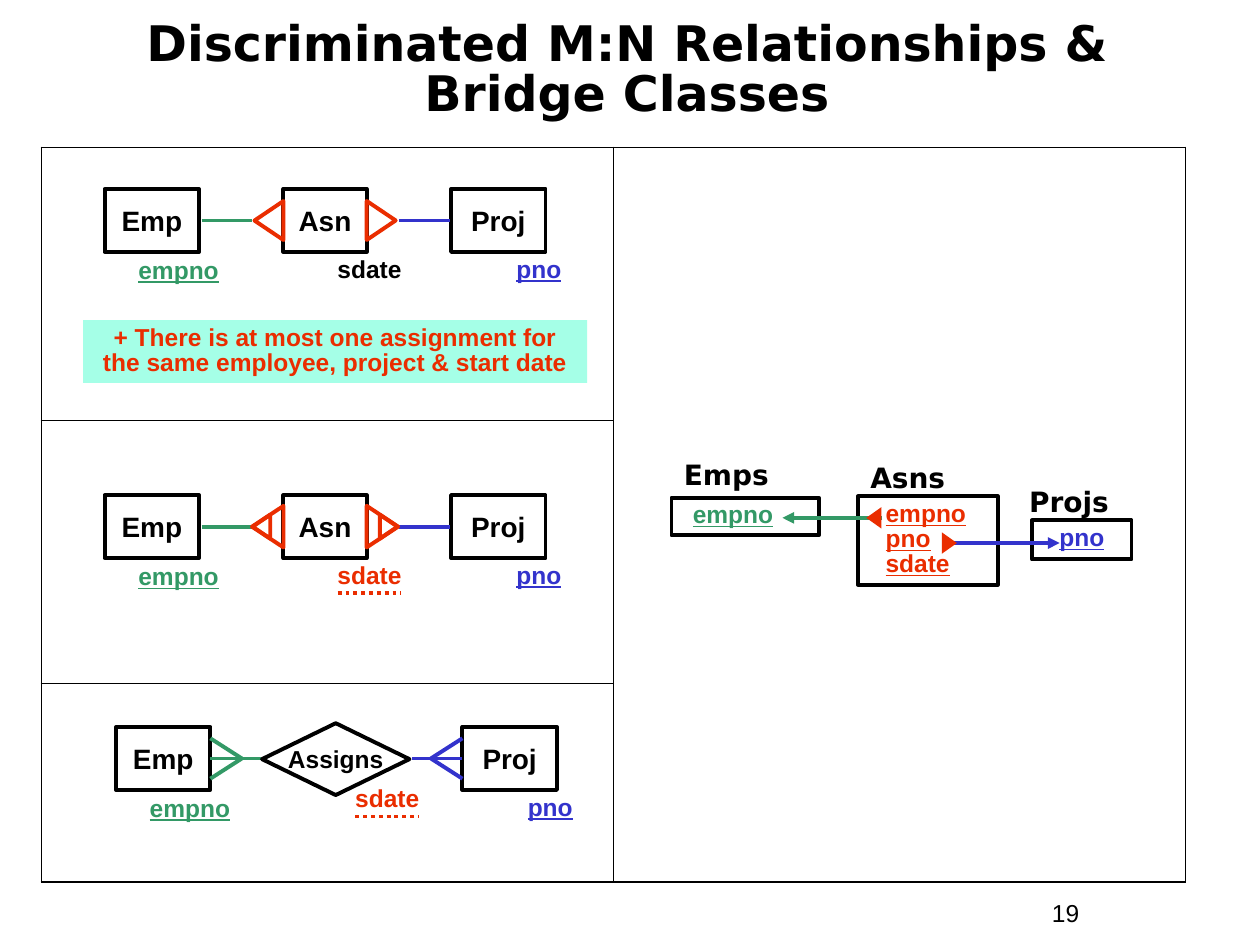
import dataclasses

import pptx
import pptx.dml.color
import pptx.enum.dml
import pptx.enum.shapes
import pptx.enum.text
import pptx.oxml
import pptx.oxml.ns
import pptx.util

Inches = pptx.util.Inches
SHAPE = pptx.enum.shapes.MSO_SHAPE
ALIGN = pptx.enum.text.PP_ALIGN
ANCHOR = pptx.enum.text.MSO_ANCHOR
FIT = pptx.enum.text.MSO_AUTO_SIZE


@dataclasses.dataclass(frozen=True)
class Theme:
    black: str = "000000"
    red: str = "EA2D00"
    green: str = "339966"
    blue: str = "3333CC"
    mint: str = "A5FFE7"
    sans: str = "Arial"
    head: str = "DejaVu Sans"
    title: int = 28
    name: int = 16
    key: int = 14
    line: float = 2.25
    edge: float = 1.08
    hair: float = 0.45


T = Theme()


def color(code):
    return pptx.dml.color.RGBColor.from_string(code)


def apply(item, form):
    for name, value in form.items():
        setattr(item, name, value)


def write(frame, lines, size, ink, face=T.sans, under=False, bold=True,
          align=ALIGN.LEFT, space=1.0, indent=0, **form):
    """Fill a text frame, one paragraph a line."""
    apply(frame, {"word_wrap": True, "vertical_anchor": ANCHOR.TOP,
                  "auto_size": FIT.NONE, **form})
    for i, line in enumerate(lines):
        para = frame.paragraphs[0] if i == 0 else frame.add_paragraph()
        para.text = line
        apply(para, {"alignment": align, "line_spacing": space})
        if indent:
            prop = para._p.get_or_add_pPr()
            prop.set("marL", str(Inches(indent)))
            prop.set("indent", "0")
        for run in para.runs:
            apply(run.font, {"size": pptx.util.Pt(size), "bold": bold,
                             "name": face, "underline": under})
            run.font.color.rgb = color(ink)


def shape(slide, kind, at, fill=None, line=None, turn=0):
    item = slide.shapes.add_shape(kind, *map(Inches, at))
    item.shadow.inherit = False
    item.rotation = turn
    if fill:
        item.fill.solid()
        item.fill.fore_color.rgb = color(fill)
    else:
        item.fill.background()
    if line:
        item.line.color.rgb = color(line)
        item.line.width = pptx.util.Pt(T.line)
    else:
        item.line.fill.background()
    return item


def label(slide, at, text, ink, size=T.key, space=0.9, **form):
    box = slide.shapes.add_textbox(*map(Inches, at))
    write(box.text_frame, [text], size, ink, space=space,
          auto_size=FIT.SHAPE_TO_FIT_TEXT, **form)


def node(slide, at, text, kind=SHAPE.RECTANGLE, size=T.name):
    item = shape(slide, kind, at, line=T.black)
    write(item.text_frame, [text], size, T.black, align=ALIGN.CENTER,
          vertical_anchor=ANCHOR.MIDDLE, word_wrap=False)


def link(slide, start, end, ink, arrow=False, dots=False):
    item = slide.shapes.add_connector(
        pptx.enum.shapes.MSO_CONNECTOR.STRAIGHT, *map(Inches, start + end))
    item.line.color.rgb = color(ink)
    item.line.width = pptx.util.Pt(T.line)
    if dots:
        item.line.dash_style = pptx.enum.dml.MSO_LINE.ROUND_DOT
    if arrow:
        item.line._get_or_add_ln().append(pptx.oxml.parse_xml(
            f'<a:tailEnd {pptx.oxml.ns.nsdecls("a")} type="triangle"/>'))
    item._element.spPr.append(pptx.oxml.parse_xml(
        f'<a:effectLst {pptx.oxml.ns.nsdecls("a")}/>'))


def wedge(slide, at, right, **form):
    """Triangle that points right or left."""
    shape(slide, SHAPE.ISOSCELES_TRIANGLE, at, turn=90 if right else 270, **form)


def ends(slide, left, top):
    """The two outer classes and their keys."""
    node(slide, (left, top, 0.75, 0.5), "Emp")
    node(slide, (left + 2.75, top, 0.75, 0.5), "Proj")
    label(slide, (left + 0.17, top + 0.5, 1.17, 0.31), "empno", T.green, under=True)
    label(slide, (left + 3.17, top + 0.49, 0.75, 0.31), "pno", T.blue, under=True)


def date(slide, left, top, ink, dots):
    label(slide, (left, top, 0.75, 0.31), "sdate", ink)
    if dots:
        y = top + 0.29
        link(slide, (left + 0.1, y), (left + 0.6, y), ink, dots=True)


def bridge(slide, top, wedges, ink, dots):
    """Emp and Proj joined through the class Asn."""
    mid = top + 0.25
    ends(slide, 0.83, top)
    node(slide, (2.25, top, 0.66, 0.5), "Asn")
    link(slide, (1.6, mid), (2, mid), T.green)
    link(slide, (3.57, mid), (3.17, mid), T.blue)
    for right, left, wide, high in wedges:
        wedge(slide, (left, mid - high / 2, wide, high), right, line=T.red)
    date(slide, 2.58, top + 0.49, ink, dots)


def forks(slide):
    """Emp and Proj joined through the diamond Assigns."""
    mid = 6.02
    ends(slide, 0.92, 5.77)
    for side, tip, far, ink in ((1.67, 1.92, 2.07, T.green),
                                (3.67, 3.42, 3.27, T.blue)):
        link(slide, (side, mid), (far, mid), ink)
        for rise in (-0.16, 0.16):
            link(slide, (tip, mid), (side, mid + rise), ink)
    node(slide, (2.08, 5.74, 1.17, 0.57), "Assigns", SHAPE.DIAMOND, T.key)
    date(slide, 2.72, 6.19, T.red, True)


def schema(slide):
    """Relations with their foreign keys."""
    for text, left, top, wide, box, keys, ink, indent in (
            ("Asns", 6.81, 3.61, 1.44, (6.81, 3.94, 1.11, 0.7),
             ("empno", "pno", "sdate"), T.red, 0.12),
            ("Projs", 8.07, 3.8, 1.15, (8.19, 4.13, 0.79, 0.31),
             ("pno",), T.blue, 0.12),
            ("Emps", 5.33, 3.58, 0.92, (5.33, 3.95, 1.17, 0.3),
             ("empno",), T.green, 0.07)):
        label(slide, (left, top, wide, 0.37), text, T.black, T.name, 1.0, face=T.head)
        item = shape(slide, SHAPE.RECTANGLE, box, line=T.black)
        write(item.text_frame, keys, T.key, ink, under=True, space=0.85,
              indent=indent, auto_size=FIT.SHAPE_TO_FIT_TEXT)
    link(slide, (7, 4.11), (6.21, 4.11), T.green, arrow=True)
    link(slide, (7.53, 4.31), (8.41, 4.31), T.blue, arrow=True)
    wedge(slide, (6.85, 4.05, 0.17, 0.12), False, fill=T.red)
    wedge(slide, (7.45, 4.25, 0.17, 0.12), True, fill=T.red)


def grid(slide):
    """Frame table: thick outside, thin inside."""
    rows = (2.17, 2.08, 1.58)
    table = slide.shapes.add_table(
        3, 2, *map(Inches, (0.33, 1.17, 9.08, 5.83))).table
    apply(table, {"first_row": False, "horz_banding": False})
    for row, high in zip(table.rows, rows):
        row.height = Inches(high)
    table.cell(0, 1).merge(table.cell(2, 1))
    for r in range(3):
        for c in range(2):
            cell = table.cell(r, c)
            cell.fill.background()
            outer = {"L": c == 0, "R": c == 1, "T": r == 0, "B": r == 2 or c == 1}
            for i, (side, thick) in enumerate(outer.items()):
                width = pptx.util.Pt(T.edge if thick else T.hair)
                cell._tc.get_or_add_tcPr().insert(i, pptx.oxml.parse_xml(
                    f'<a:ln{side} {pptx.oxml.ns.nsdecls("a")} w="{width}">'
                    f'<a:solidFill><a:srgbClr val="{T.black}"/></a:solidFill>'
                    f'</a:ln{side}>'))


def main():
    deck = pptx.Presentation()
    apply(deck, {"slide_width": Inches(10), "slide_height": Inches(7.5)})
    slide = deck.slides.add_slide(deck.slide_layouts[5])

    # Title and page number
    title = slide.shapes.title
    apply(title, {"left": Inches(0.29), "top": Inches(0.11),
                  "width": Inches(9.37), "height": Inches(0.92)})
    write(title.text_frame, ["Discriminated M:N Relationships &\vBridge Classes"],
          T.title, T.black, T.head, align=ALIGN.CENTER, space=0.85,
          vertical_anchor=ANCHOR.MIDDLE)
    label(slide, (8.25, 7.08, 0.92, 0.34), "19", T.black, space=1.0, bold=False)

    # Right: relations; left: three ways to draw the same link
    schema(slide)
    bridge(slide, 1.5, ((False, 1.98, 0.31, 0.23), (True, 2.87, 0.31, 0.23)),
           T.black, False)
    bridge(slide, 3.93, ((False, 1.96, 0.33, 0.25), (False, 1.98, 0.19, 0.14),
                         (True, 2.87, 0.33, 0.25), (True, 2.99, 0.19, 0.14)),
           T.red, True)
    forks(slide)
    grid(slide)

    # Note on the constraint
    note = shape(slide, SHAPE.RECTANGLE, (0.66, 2.54, 4, 0.5), fill=T.mint)
    write(note.text_frame,
          ["+ There is at most one assignment for the same employee, "
           "project & start date"],
          T.key, T.red, align=ALIGN.CENTER, space=0.85,
          auto_size=FIT.SHAPE_TO_FIT_TEXT)
    deck.save("out.pptx")


if __name__ == "__main__":
    main()
